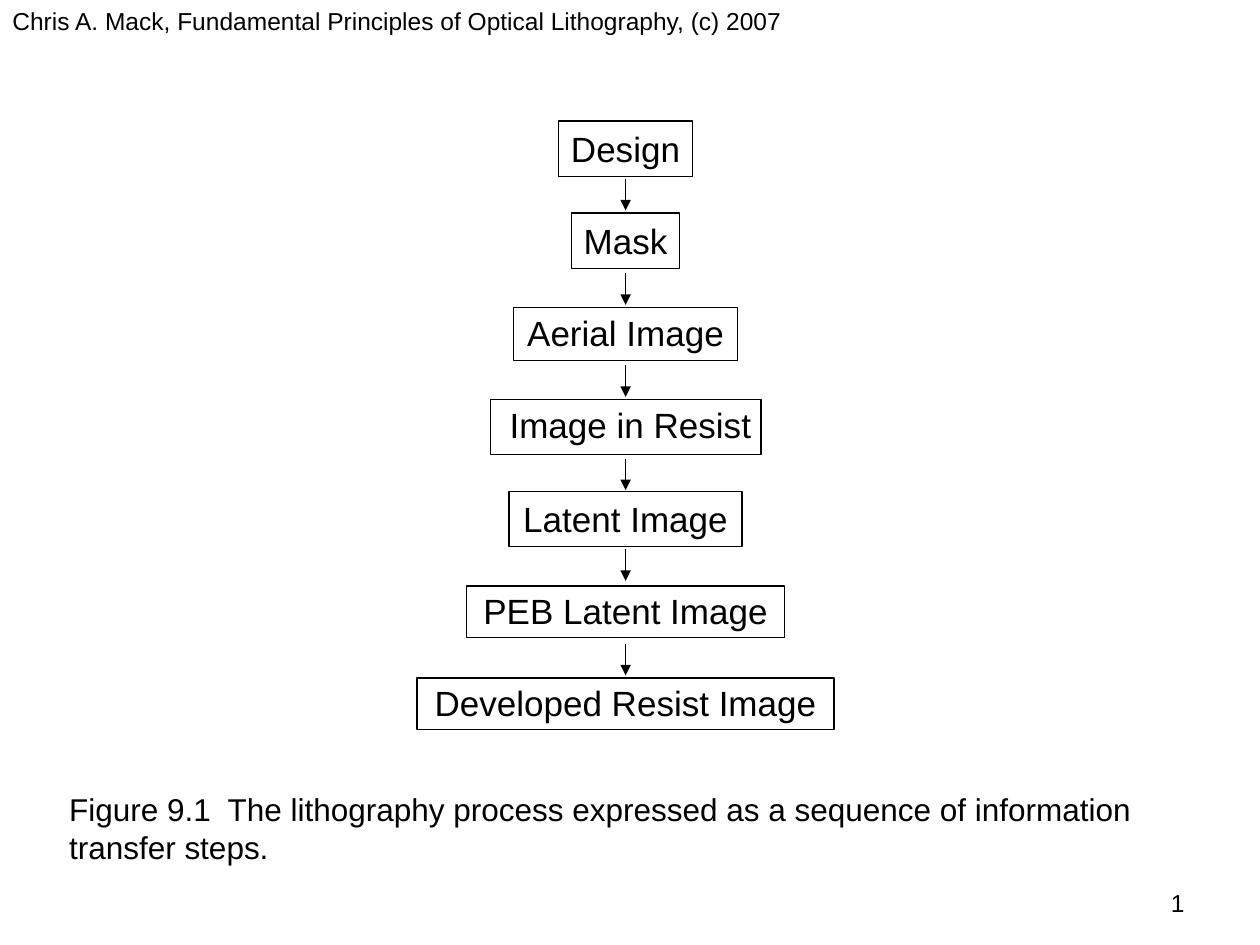
import pptx
import pptx.util
import pptx.dml.color
import pptx.enum.shapes
import pptx.enum.text
import pptx.oxml.ns
import lxml.etree

SCALE = 9144
COLORS = {"ink": "000000", "paper": "FFFFFF"}
FONT = "Arial"
ARROW_LENGTH = 25
STEPS = [
    ("Design", 96, 106, 44, 5),
    ("Mask", 169, 86, 44, 5),
    ("Aerial Image", 244, 178, 42, 3),
    (" Image in Resist", 317, 215, 44, 3),
    ("Latent Image", 390, 185, 44, 5),
    ("PEB Latent Image", 465, 252, 41, 3),
    ("Developed Resist Image", 538, 331, 41, 3),
]
ARROW_TOPS = [142, 217, 290, 364, 436, 511]


def px(length):
    return pptx.util.Emu(round(length * SCALE))


def color(name):
    return pptx.dml.color.RGBColor.from_string(COLORS[name])


def write_text(shape, text, size=14, align="LEFT", insets=(10, 5, 10, 5)):
    frame = shape.text_frame
    frame.word_wrap = True
    frame.vertical_anchor = pptx.enum.text.MSO_ANCHOR.TOP
    frame.margin_left, frame.margin_top, frame.margin_right, frame.margin_bottom = map(px, insets)
    para = frame.paragraphs[0]
    para.alignment = getattr(pptx.enum.text.PP_ALIGN, align)
    span = para.add_run()
    span.text = text
    span.font.name = FONT
    span.font.size = pptx.util.Pt(size)
    span.font.color.rgb = color("ink")


def add_label(page, box, text, **style):
    write_text(page.shapes.add_textbox(*map(px, box)), text, **style)


def add_step(page, box, text, text_top):
    step = page.shapes.add_shape(pptx.enum.shapes.MSO_SHAPE.RECTANGLE, *map(px, box))
    step.shadow.inherit = False
    step.fill.background()
    step.line.color.rgb = color("ink")
    step.line.width = pptx.util.Pt(0)
    write_text(step, text, size=20, align="CENTER", insets=(0, text_top, 0, 0))


def add_arrow(page, center, top):
    arrow = page.shapes.add_connector(
        pptx.enum.shapes.MSO_CONNECTOR.STRAIGHT,
        px(center), px(top), px(center), px(top + ARROW_LENGTH),
    )
    arrow.line.color.rgb = color("ink")
    arrow.line.width = pptx.util.Pt(0.75)
    qn = pptx.oxml.ns.qn
    lxml.etree.SubElement(arrow.line._get_or_add_ln(), qn("a:tailEnd"), type="triangle")
    lxml.etree.SubElement(arrow._element.spPr, qn("a:effectLst"))


def add_flow(page, box):
    left, top, width, height = box
    center = left + width / 2
    for text, step_top, step_width, step_height, text_top in STEPS:
        step_box = (center - step_width / 2, top + step_top, step_width, step_height)
        add_step(page, step_box, text, text_top)
    for arrow_top in ARROW_TOPS:
        add_arrow(page, center, top + arrow_top)


def main():
    deck = pptx.Presentation()
    deck.slide_width, deck.slide_height = px(1000), px(750)
    page = deck.slides.add_slide(deck.slide_layouts.get_by_name("Blank"))
    page.background.fill.solid()
    page.background.fill.fore_color.rgb = color("paper")
    add_flow(page, (331, 0, 331, 579))
    add_label(
        page, (45, 622, 922, 70),
        "Figure 9.1  The lithography process expressed as a sequence of information transfer steps.",
        size=18,
    )
    add_label(
        page, (0, 0, 750, 35),
        "Chris A. Mack, Fundamental Principles of Optical Lithography, (c) 2007",
    )
    add_label(page, (717, 700, 233, 35), "1", align="RIGHT")
    deck.save("out.pptx")


if __name__ == "__main__":
    main()
